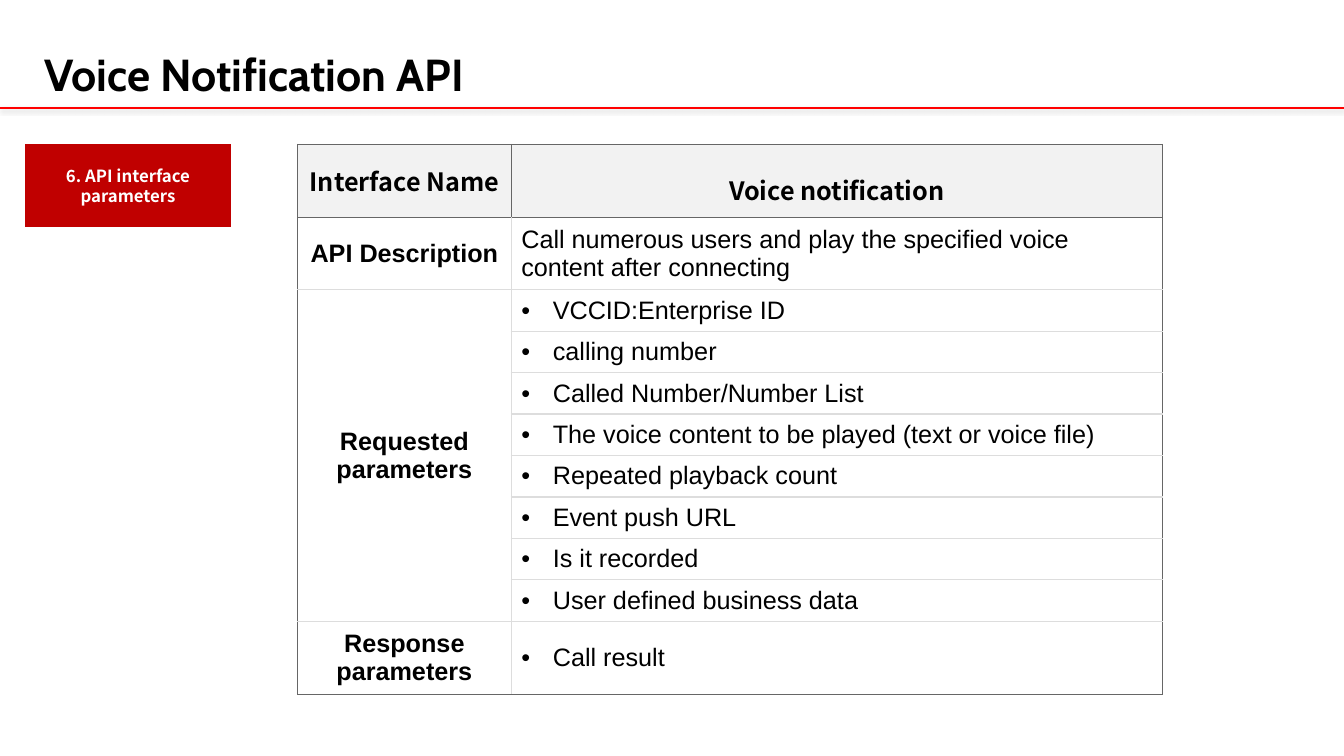
from lxml.etree import SubElement
from pptx import Presentation
from pptx.dml.color import RGBColor
from pptx.enum.shapes import MSO_CONNECTOR, MSO_SHAPE
from pptx.enum.text import MSO_ANCHOR, PP_ALIGN
from pptx.oxml import parse_xml
from pptx.oxml.ns import nsdecls, qn
from pptx.util import Pt

# Content
TITLE = "Voice Notification API"
TAG = "6. API interface parameters"
HEAD = ("Interface Name", "Voice notification")
ABOUT = ("API Description",
         "Call numerous users and play the specified voice content after connecting")
GROUPS = [
    ("Requested parameters", [
        "VCCID:Enterprise ID",
        "calling number",
        "Called Number/Number List",
        "The voice content to be played (text or voice file)",
        "Repeated playback count",
        "Event push URL",
        "Is it recorded",
        "User defined business data",
    ]),
    ("Response parameters", ["Call result"]),
]

# Theme
THEME = {
    "black": "000000", "white": "FFFFFF", "rule": "FF0000", "tag": "C00000",
    "head": "F2F2F2", "dark": ("666666", 0.5), "light": ("DDDDDD", 1),
    "title": {"name": "Cabin", "size": Pt(32), "bold": True},
    "label": {"name": "Noto Sans CJK SC", "size": Pt(12), "bold": True},
    "top": {"name": "Noto Sans CJK SC", "size": Pt(18), "bold": True},
    "side": {"name": "Arial", "size": Pt(18), "bold": True},
    "body": {"name": "Arial", "size": Pt(18), "bold": False},
}

# Layout, in points
WIDE, HIGH = 960, 540
RULE_Y = 77
TOP = 103
LEFT = 212.5
COLS = (152.7, 465)
TALL, SHORT = 52, 29.6
INDENT = 22.5


def paint(part, color):
    part.fill.solid()
    part.fill.fore_color.rgb = RGBColor.from_string(color)


def write(frame, text, style, color="black", align=PP_ALIGN.LEFT):
    para = frame.paragraphs[0]
    para.alignment = align
    run = para.add_run()
    run.text = text
    for key, value in THEME[style].items():
        setattr(run.font, key, value)
    run.font.color.rgb = RGBColor.from_string(THEME[color])
    return para


def bullet(para):
    props = para._p.get_or_add_pPr()
    props.set("marL", str(Pt(INDENT)))
    props.set("indent", str(-Pt(INDENT)))
    SubElement(props, qn("a:buFont")).set("typeface", "Arial")
    SubElement(props, qn("a:buChar")).set("char", "•")


def border(cell, edges):
    props = cell._tc.get_or_add_tcPr()
    for spot, (side, dark) in enumerate(edges.items()):
        color, width = THEME["dark" if dark else "light"]
        props.insert(spot, parse_xml(
            f'<a:ln{side} {nsdecls("a")} w="{Pt(width)}"><a:solidFill>'
            f'<a:srgbClr val="{color}"/></a:solidFill></a:ln{side}>'))


deck = Presentation()
deck.slide_width, deck.slide_height = Pt(WIDE), Pt(HIGH)
slide = deck.slides.add_slide(deck.slide_layouts[6])
shapes = slide.shapes

# Rule under the title, with a soft shadow
rule = shapes.add_connector(MSO_CONNECTOR.STRAIGHT, 0, Pt(RULE_Y), Pt(WIDE), Pt(RULE_Y))
rule.line.color.rgb = RGBColor.from_string(THEME["rule"])
rule.line.width = Pt(1.5)
rule._element.spPr.append(parse_xml(
    f'<a:effectLst {nsdecls("a")}><a:outerShdw blurRad="{Pt(3.1)}" dist="{Pt(1.6)}" '
    'dir="5400000" rotWithShape="0"><a:srgbClr val="808080"><a:alpha val="38000"/>'
    '</a:srgbClr></a:outerShdw></a:effectLst>'))

# Title
title = shapes.add_textbox(Pt(24.5), Pt(28.8), Pt(828), Pt(48.2)).text_frame
title.word_wrap = True
title.vertical_anchor = MSO_ANCHOR.MIDDLE
write(title, TITLE, "title")

# Section tag
tag = shapes.add_shape(MSO_SHAPE.RECTANGLE, Pt(18), Pt(TOP), Pt(147), Pt(59))
tag.shadow.inherit = False
tag.line.fill.background()
paint(tag, THEME["tag"])
frame = tag.text_frame
frame.word_wrap = True
frame.vertical_anchor = MSO_ANCHOR.MIDDLE
frame.margin_left = frame.margin_right = Pt(13)
frame.margin_top = frame.margin_bottom = Pt(6.5)
write(frame, TAG, "label", "white", PP_ALIGN.CENTER)

# Table grid
rows = [TALL, TALL]
for name, items in GROUPS:
    rows += [SHORT] * len(items) if len(items) > 1 else [TALL]
last = len(rows) - 1
table = shapes.add_table(len(rows), len(COLS), Pt(LEFT), Pt(TOP),
                         Pt(sum(COLS)), Pt(sum(rows))).table
table.first_row = table.horz_banding = False
for col, width in zip(table.columns, COLS):
    col.width = Pt(width)
for row, height in zip(table.rows, rows):
    row.height = Pt(height)

# Cell fills and borders: dark around the table and the head
for r in range(len(rows)):
    for c in range(len(COLS)):
        cell = table.cell(r, c)
        cell.vertical_anchor = MSO_ANCHOR.MIDDLE
        if r == 0:
            paint(cell, THEME["head"])
        else:
            cell.fill.background()
        border(cell, {"L": r == 0 or c == 0, "R": r == 0 or c == 1,
                      "T": r <= 1, "B": r in (0, last)})

# Cell text
for c, text in enumerate(HEAD):
    para = write(table.cell(0, c).text_frame, text, "top", align=PP_ALIGN.CENTER)
para.line_spacing = 1.5
write(table.cell(1, 0).text_frame, ABOUT[0], "side", align=PP_ALIGN.CENTER)
write(table.cell(1, 1).text_frame, ABOUT[1], "body")
r = 2
for name, items in GROUPS:
    side = table.cell(r, 0)
    if len(items) > 1:
        side.merge(table.cell(r + len(items) - 1, 0))
    write(side.text_frame, name, "side", align=PP_ALIGN.CENTER)
    for item in items:
        bullet(write(table.cell(r, 1).text_frame, item, "body"))
        r += 1

deck.save("out.pptx")
